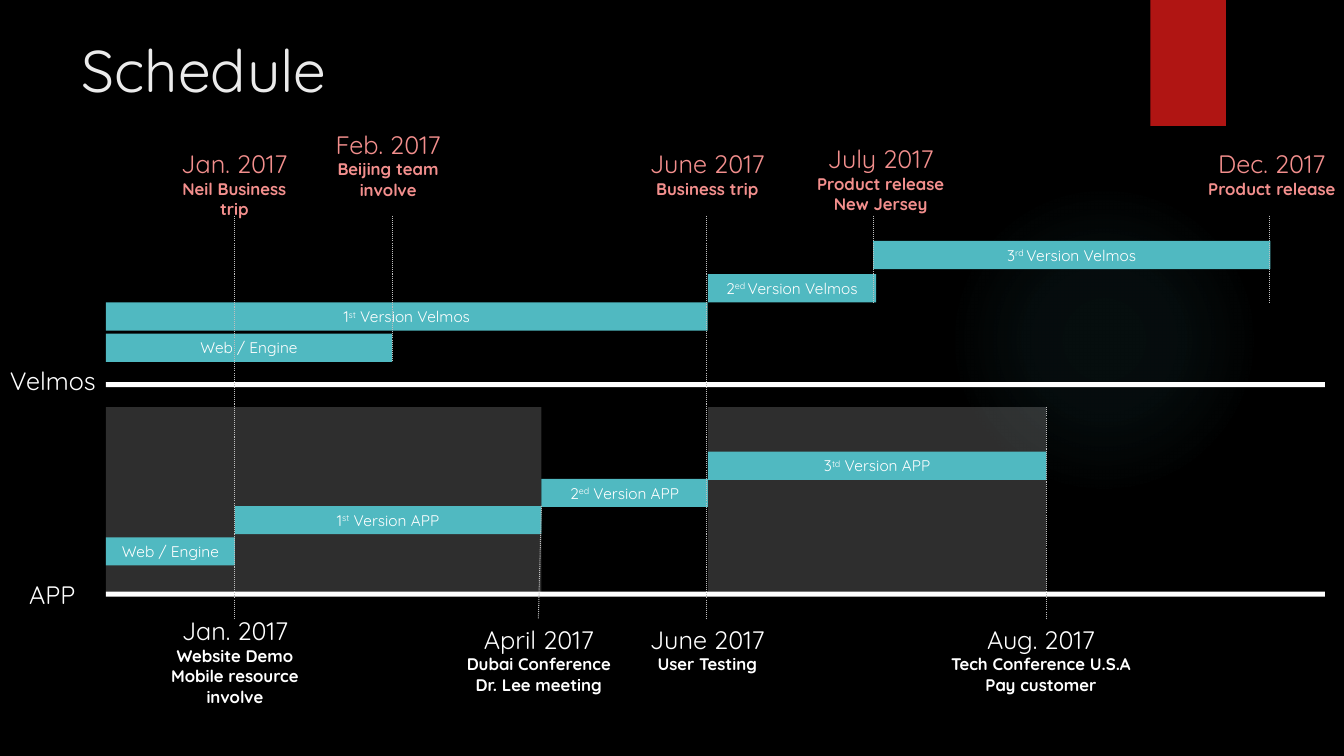
from dataclasses import dataclass
from typing import Any

from lxml.etree import SubElement
from pptx import Presentation
from pptx.dml.color import RGBColor
from pptx.enum.dml import MSO_LINE_DASH_STYLE as Dash
from pptx.enum.shapes import MSO_CONNECTOR as Connector, MSO_SHAPE as Preset
from pptx.enum.text import MSO_ANCHOR as Anchor, PP_ALIGN as Align
from pptx.oxml import parse_xml
from pptx.oxml.ns import nsdecls, qn
from pptx.util import Inches, Pt

COLORS = {
    "background": "000000", "title": "EBEBEB", "white": "FFFFFF",
    "teal": "50B9C1", "red": "B01513", "pink": "F38F8D", "guide": "BFBFBF",
}
FONT = "Quicksand"

# Horizontal places of the dates and of the two timelines
START, JAN, FEB, APRIL, JUNE = 1.05, 2.33, 3.89, 5.37, 7.02
JULY, AUG, DEC, END = 8.66, 10.38, 12.59, 13.14
GUIDE_TOP, GUIDE_BOTTOM = 2.14, 6.14
BAR_HEIGHT, AXIS_HEIGHT = 0.28, 0.05


@dataclass
class Bar:
    start: float
    end: float
    top: float
    text: str
    number: str = ""
    ordinal: str = ""


@dataclass
class Milestone:
    left: float
    top: float
    width: float
    lines: tuple[str, ...]
    color: str = "white"
    wrap: bool = False


@dataclass
class Guide:
    x: float
    top: float
    bottom: float
    end_x: float | None = None


@dataclass
class Timeline:
    name: str
    left: float
    label_top: float
    width: float
    axis_top: float


TIMELINES = [
    Timeline("Velmos", 0, 3.58, 1.07, 3.79),
    Timeline("APP", 0.19, 5.7, 0.69, 5.87),
]
BARS = [
    Bar(START, FEB, 3.31, "Web / Engine"),
    Bar(START, JUNE, 3.0, " Version Velmos", "1", "st"),
    Bar(JUNE, 8.69, 2.72, "Version Velmos", "2", "ed "),
    Bar(JULY, DEC + 0.01, 2.39, "Version Velmos", "3", "rd "),
    Bar(START, JAN, 5.33, "Web / Engine"),
    Bar(JAN, APRIL, 5.02, " Version APP", "1", "st"),
    Bar(APRIL, JUNE, 4.75, " Version APP", "2", "ed"),
    Bar(JUNE, AUG, 4.48, " Version APP", "3", "td"),
]
MILESTONES = [
    Milestone(1.56, 1.42, 1.53, ("Jan. 2017", "Neil Business trip"), "pink", True),
    Milestone(3.17, 1.23, 1.36, ("Feb. 2017", "Beijing team", "involve"), "pink"),
    Milestone(6.3, 1.42, 1.43, ("June 2017", "Business trip"), "pink"),
    Milestone(8.0, 1.37, 1.47, ("July 2017", "Product release", "New Jersey"), "pink"),
    Milestone(11.88, 1.42, 1.47, ("Dec. 2017", "Product release"), "pink"),
    Milestone(1.57, 6.06, 1.52,
              ("Jan. 2017", "Website Demo", "Mobile resource", "involve")),
    Milestone(4.48, 6.14, 1.73, ("April 2017", "Dubai Conference", "Dr. Lee meeting")),
    Milestone(6.3, 6.14, 1.43, ("June 2017", "User Testing")),
    Milestone(9.32, 6.14, 2.01, ("Aug. 2017", "Tech Conference U.S.A", "Pay customer")),
]
GUIDES = [
    Guide(JAN, GUIDE_TOP, GUIDE_BOTTOM),
    Guide(FEB, GUIDE_TOP, 3.58),
    Guide(APRIL, 5.02, GUIDE_BOTTOM, 5.34),
    Guide(JUNE - 0.01, GUIDE_TOP, GUIDE_BOTTOM),
    Guide(JULY, GUIDE_TOP, 3),
    Guide(AUG, 4.04, GUIDE_BOTTOM),
    Guide(DEC, GUIDE_TOP, 3),
]


def rgb(color: str) -> RGBColor:
    return RGBColor.from_string(COLORS[color])


def add_block(slide: Any, left: float, top: float, width: float, height: float,
              color: str, preset: Preset = Preset.RECTANGLE) -> Any:
    block = slide.shapes.add_shape(
        preset, Inches(left), Inches(top), Inches(width), Inches(height))
    block.shadow.inherit = False
    block.fill.solid()
    block.fill.fore_color.rgb = rgb(color)
    block.line.fill.background()
    return block


def add_run(paragraph: Any, text: str, size: float, color: str,
            bold: bool = False) -> Any:
    run = paragraph.add_run()
    run.text = text
    for key, value in {"name": FONT, "size": Pt(size), "bold": bold}.items():
        setattr(run.font, key, value)
    run.font.color.rgb = rgb(color)
    return run


def add_frame(slide: Any, left: float, top: float, width: float, height: float,
              wrap: bool = False) -> Any:
    frame = slide.shapes.add_textbox(
        Inches(left), Inches(top), Inches(width), Inches(height)).text_frame
    frame.word_wrap = wrap
    return frame


def add_bar(slide: Any, bar: Bar) -> None:
    block = add_block(slide, bar.start, bar.top, bar.end - bar.start, BAR_HEIGHT, "teal")
    block.text_frame.vertical_anchor = Anchor.MIDDLE
    label = block.text_frame.paragraphs[0]
    label.alignment = Align.CENTER
    if bar.number:
        add_run(label, bar.number, 11, "white")
        ordinal = add_run(label, bar.ordinal, 11, "white")
        ordinal.font._element.set("baseline", "30000")
    add_run(label, bar.text, 11, "white")


def add_milestone(slide: Any, milestone: Milestone) -> None:
    height = 0.41 + 0.2 * (len(milestone.lines) - 1)
    frame = add_frame(slide, milestone.left, milestone.top, milestone.width, height,
                      milestone.wrap)
    for index, line in enumerate(milestone.lines):
        paragraph = frame.add_paragraph() if index else frame.paragraphs[0]
        paragraph.alignment = Align.CENTER
        add_run(paragraph, line, 12 if index else 18, milestone.color, index > 0)


def add_guide(slide: Any, guide: Guide) -> None:
    end_x = guide.x if guide.end_x is None else guide.end_x
    connector = slide.shapes.add_connector(
        Connector.STRAIGHT, Inches(guide.x), Inches(guide.top),
        Inches(end_x), Inches(guide.bottom))
    connector.line.color.rgb = rgb("guide")
    for key, value in {"width": Pt(0.75), "dash_style": Dash.ROUND_DOT}.items():
        setattr(connector.line, key, value)
    SubElement(connector._element.spPr, qn("a:effectLst"))


def add_backdrop(slide: Any) -> None:
    # Soft glow
    glow = add_block(slide, 9.41, 1.83, 3.08, 3.08, "teal", Preset.OVAL)
    stops = "".join(
        f'<a:gs pos="{place * 1000}"><a:srgbClr val="{COLORS["teal"]}">'
        f'<a:alpha val="{alpha * 1000}"/></a:srgbClr></a:gs>'
        for place, alpha in ((0, 7), (36, 6), (69, 0)))
    gradient = parse_xml(
        f'<a:gradFill {nsdecls("a")}><a:gsLst>{stops}</a:gsLst><a:path path="circle">'
        '<a:fillToRect l="50000" t="50000" r="50000" b="50000"/></a:path></a:gradFill>')
    properties = glow._element.spPr
    properties.replace(properties.find(qn("a:solidFill")), gradient)

    # Red tab with its shadow
    tab = add_block(slide, 11.41, 0, 0.75, 1.25, "red")
    tab._element.spPr.find(qn("a:effectLst")).append(parse_xml(
        f'<a:outerShdw {nsdecls("a")} blurRad="{Pt(3)}" dist="{Pt(2)}" dir="5400000">'
        '<a:srgbClr val="000000"><a:alpha val="45000"/></a:srgbClr></a:outerShdw>'))

    # Translucent periods
    for start, end in ((JUNE, AUG), (START, APRIL)):
        period = add_block(slide, start, 4.04, end - start, 1.84, "white")
        tint = period._element.spPr.find(qn("a:solidFill"))[0]
        SubElement(tint, qn("a:alpha")).set("val", "18000")


def main() -> None:
    deck = Presentation()
    deck.slide_width, deck.slide_height = Inches(13.33), Inches(7.5)
    slide = deck.slides.add_slide(deck.slide_layouts[6])
    slide.background.fill.solid()
    slide.background.fill.fore_color.rgb = rgb("background")
    add_backdrop(slide)

    # Title
    heading = add_frame(slide, 0.71, 0.27, 10.29, 0.83, True)
    heading.vertical_anchor = Anchor.MIDDLE
    add_run(heading.paragraphs[0], "Schedule", 42, "title")

    # Timelines and their contents
    for timeline in TIMELINES:
        add_block(slide, START, timeline.axis_top, END - START, AXIS_HEIGHT, "white")
        name = add_frame(slide, timeline.left, timeline.label_top, timeline.width, 0.4)
        add_run(name.paragraphs[0], timeline.name, 18, "white")
    for bar in BARS:
        add_bar(slide, bar)
    for milestone in MILESTONES:
        add_milestone(slide, milestone)
    for guide in GUIDES:
        add_guide(slide, guide)
    deck.save("out.pptx")


if __name__ == "__main__":
    main()
